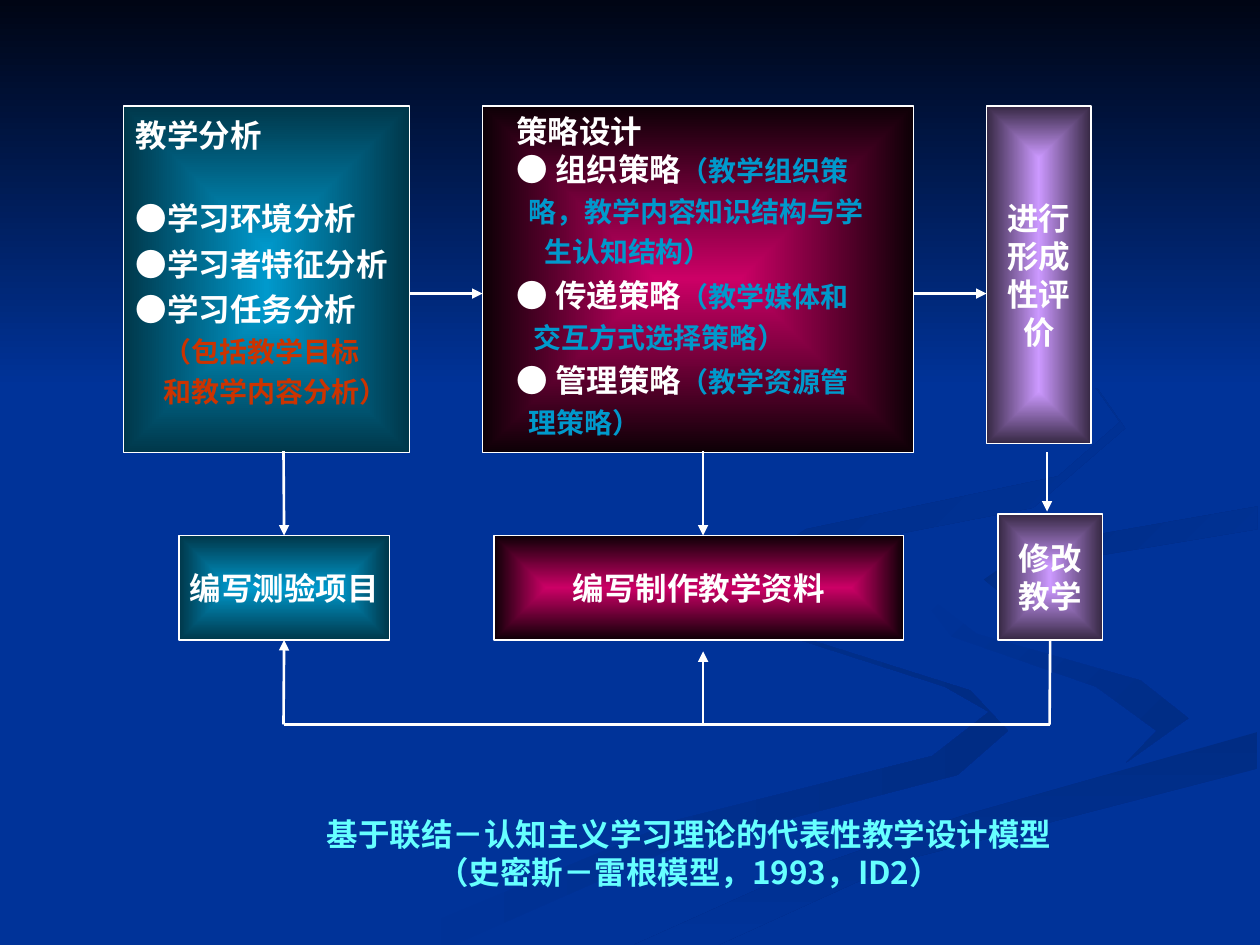
from lxml import etree
from pptx import Presentation
from pptx import util as u
from pptx.dml.color import RGBColor
from pptx.enum import shapes, text
from pptx.oxml import parse_xml
from pptx.oxml.ns import nsdecls, qn

WHITE = RGBColor(0xFF, 0xFF, 0xFF)
BLUE = RGBColor(0x00, 0x33, 0x99)
NIGHT = RGBColor(0x00, 0x05, 0x14)
SHADE = RGBColor(0x00, 0x2C, 0x84)
TEAL, TEAL_DARK = RGBColor(0x00, 0x99, 0xCC), RGBColor(0x00, 0x37, 0x4A)
PINK, PINK_DARK = RGBColor(0xCC, 0x00, 0x66), RGBColor(0x0D, 0x00, 0x06)
LILAC, LILAC_DARK = RGBColor(0xCC, 0x99, 0xFF), RGBColor(0x36, 0x28, 0x43)
RED = RGBColor(0xCC, 0x33, 0x00)
CYAN = RGBColor(0x66, 0xFF, 0xFF)
CJK, ROMAN = "Noto Sans CJK SC", "Times New Roman"

SWIRLS = [
    (BLUE, SHADE, 0, [
        (5.75, 4.6), (6.1, 5), (7.5, 5.45), (7.85, 5.65), (7.4, 6), (5.4, 6.5), (3, 7.5),
        (3.6, 7.5), (5.3, 6.75), (7.6, 6.15), (8, 5.8), (7.7, 5.48), (6.4, 5.07)]),
    (BLUE, SHADE, 45, [
        (7.24, 4.64), (7.55, 5.05), (8.7, 5.45), (9.18, 5.8), (8.94, 6.05),
        (9.43, 5.7), (9.05, 5.4), (7.75, 5.03)]),
    (SHADE, BLUE, 90, [
        (5.03, 7.5), (5.7, 7.5), (7.2, 6.82), (9.98, 6.1), (9.98, 5.81), (7.65, 6.47), (6.3, 6.93)]),
    (SHADE, BLUE, 45, [
        (7.81, 4.6), (8.26, 4.96), (8.05, 4.72), (8.6, 4.43), (9.98, 4.2), (9.98, 4.02), (8.2, 4.33)]),
    (SHADE, BLUE, 45, [
        (7.62, 2.33), (8.5, 2.8), (8.89, 3.35), (8.4, 3.78), (6.4, 4.2), (5.77, 4.6), (6.2, 5),
        (5.95, 4.65), (6.5, 4.36), (8.2, 4.03), (8.93, 3.4), (8.5, 2.78)]),
    (NIGHT, BLUE, 90, [(0, 0), (0, 3.08), (10, 3.08), (10, 0)]),
]

ANALYSIS = [
    ([("教学分析", 18, WHITE)], 0, 1, 0),
    ([("●学习环境分析", 18, WHITE)], 0, 1.2, 21.7),
    ([("●学习者特征分析", 18, WHITE)], 0, 1.2, 0),
    ([("●学习任务分析", 18, WHITE)], 0, 1.2, 0),
    ([("（包括教学目标", 16, RED)], 16, 1.2, 0),
    ([("和教学内容分析）", 16, RED)], 16, 1.2, 0),
]
STRATEGY = [
    ([("策略设计", 18, WHITE)], 0, 1, 0),
    ([("● 组织策略", 18, WHITE), ("（教学组织策", 16, TEAL)], 0, 1, 0),
    ([("略，教学内容知识结构与学", 16, TEAL)], 7, 1.2, 0),
    ([("生认知结构）", 16, TEAL)], 16, 1.2, 0),
    ([("● 传递策略", 18, WHITE), ("（教学媒体和", 16, TEAL)], 0, 1.2, 0),
    ([("交互方式选择策略）", 16, TEAL)], 10, 1.2, 0),
    ([("● 管理策略", 18, WHITE), ("（教学资源管", 16, TEAL)], 0, 1.2, 0),
    ([("理策略）", 16, TEAL)], 7, 1.2, 0),
]
CAPTION = ["基于联结－认知主义学习理论的代表性教学设计模型", "（史密斯－雷根模型，1993，ID2）"]

TOP, LOW, TALL, SHORT, NARROW = 0.84, 4.25, 2.75, 0.83, 0.83
BOXES = {
    "strategy": (3.83, TOP, 3.42, TALL, PINK, PINK_DARK, []),
    "analysis": (0.98, TOP, 2.27, TALL, TEAL, TEAL_DARK, []),
    "evaluate": (7.83, TOP, NARROW, 2.68, LILAC, LILAC_DARK, ["进行", "形成", "性评", "价"]),
    "tests": (1.42, LOW, 1.67, SHORT, TEAL, TEAL_DARK, ["编写测验项目"]),
    "materials": (3.92, LOW, 3.25, SHORT, PINK, PINK_DARK, ["编写制作教学资料"]),
    "revise": (7.92, 4.08, NARROW, 1, LILAC, LILAC_DARK, ["修改", "教学"]),
}

LEFT, MIDDLE, RIGHT = 2.25, 5.58, 8.33
ACROSS, RETURN, BOTTOM = 2.33, 5.75, 5.08
LINES = [
    (3.25, ACROSS, 3.83, ACROSS, True, None),
    (7.25, ACROSS, 7.83, ACROSS, True, None),
    (8.31, 3.59, 8.31, 4.06, True, None),
    (LEFT, 3.58, LEFT, LOW, True, ("tests", 0)),
    (MIDDLE, 3.58, MIDDLE, LOW, True, None),
    (LEFT, RETURN, RIGHT, RETURN, False, None),
    (LEFT, RETURN, LEFT, BOTTOM, True, ("tests", 2)),
    (MIDDLE, RETURN, MIDDLE, 5.17, True, None),
    (RIGHT, RETURN, RIGHT, BOTTOM, False, ("revise", 2)),
]


def set_gradient(sp, start, end, angle=None):
    sp.fill.background()
    if angle is None:
        way = '<a:path path="rect"><a:fillToRect l="50000" t="50000" r="50000" b="50000"/></a:path>'
    else:
        way = f'<a:lin ang="{angle * 60000}" scaled="1"/>'
    stops = "".join(f'<a:gs pos="{pos}"><a:srgbClr val="{c}"/></a:gs>'
                    for pos, c in ((0, start), (100000, end)))
    grad = parse_xml(f'<a:gradFill {nsdecls("a")}><a:gsLst>{stops}</a:gsLst>{way}</a:gradFill>')
    old = sp._element.spPr.find(qn("a:noFill"))
    old.getparent().replace(old, grad)


def write(tf, lines, font, align, wrap, anchor=text.MSO_ANCHOR.TOP):
    tf.word_wrap, tf.vertical_anchor = wrap, anchor
    for i, (runs, indent, spacing, before) in enumerate(lines):
        p = tf.add_paragraph() if i else tf.paragraphs[0]
        p.alignment, p.line_spacing = align, float(spacing)
        if before:
            p.space_before = u.Pt(before)
        if indent:
            p._p.get_or_add_pPr().set("marL", str(u.Pt(indent)))
        for words, size, colour in runs:
            r = p.add_run()
            r.text = words
            r.font.size, r.font.bold, r.font.name = u.Pt(size), True, font
            r.font.color.rgb = colour
            etree.SubElement(r.font._element, qn("a:ea")).set("typeface", CJK)


def plain(words, colour):
    return [([(w, 18, colour)], 0, 1, 0) for w in words]


def main():
    prs = Presentation()
    prs.slide_width, prs.slide_height = u.Inches(10), u.Inches(7.5)
    s = prs.slides.add_slide(prs.slide_layouts[6])
    s.background.fill.solid()
    s.background.fill.fore_color.rgb = BLUE

    for start, end, angle, points in SWIRLS:
        first, *rest = [(u.Inches(x), u.Inches(y)) for x, y in points]
        fb = s.shapes.build_freeform(*first)
        fb.add_line_segments(rest, close=True)
        sp = fb.convert_to_shape()
        sp.shadow.inherit = False
        sp.line.fill.background()
        set_gradient(sp, start, end, angle)

    boxes = {}
    for name, (x, y, w, h, inner, outer, words) in BOXES.items():
        sp = s.shapes.add_shape(shapes.MSO_SHAPE.RECTANGLE, *map(u.Inches, (x, y, w, h)))
        sp.shadow.inherit = False
        set_gradient(sp, inner, outer)
        sp.line.color.rgb, sp.line.width = WHITE, u.Pt(0.75)
        write(sp.text_frame, plain(words, WHITE), ROMAN, text.PP_ALIGN.CENTER, False,
              text.MSO_ANCHOR.MIDDLE)
        boxes[name] = sp

    tf = boxes["analysis"].text_frame
    tf.margin_top = u.Inches(0.08)
    write(tf, ANALYSIS, CJK, text.PP_ALIGN.LEFT, True)
    for area, lines, align in (
            ((4, TOP, 3.2, 2.7), STRATEGY, text.PP_ALIGN.LEFT),
            ((2.48, 6.42, 5.98, 0.7), plain(CAPTION, CYAN), text.PP_ALIGN.CENTER)):
        tb = s.shapes.add_textbox(*map(u.Inches, area))
        write(tb.text_frame, lines, CJK, align, True)

    for x1, y1, x2, y2, arrow, join in LINES:
        cx = s.shapes.add_connector(shapes.MSO_CONNECTOR.STRAIGHT, *map(u.Inches, (x1, y1, x2, y2)))
        if join:
            cx.end_connect(boxes[join[0]], join[1])
        cx.line.color.rgb, cx.line.width = WHITE, u.Pt(1.5)
        if arrow:
            etree.SubElement(cx.line._get_or_add_ln(), qn("a:tailEnd")).set("type", "triangle")
        etree.SubElement(cx._element.spPr, qn("a:effectLst"))

    prs.save("out.pptx")


if __name__ == "__main__":
    main()
